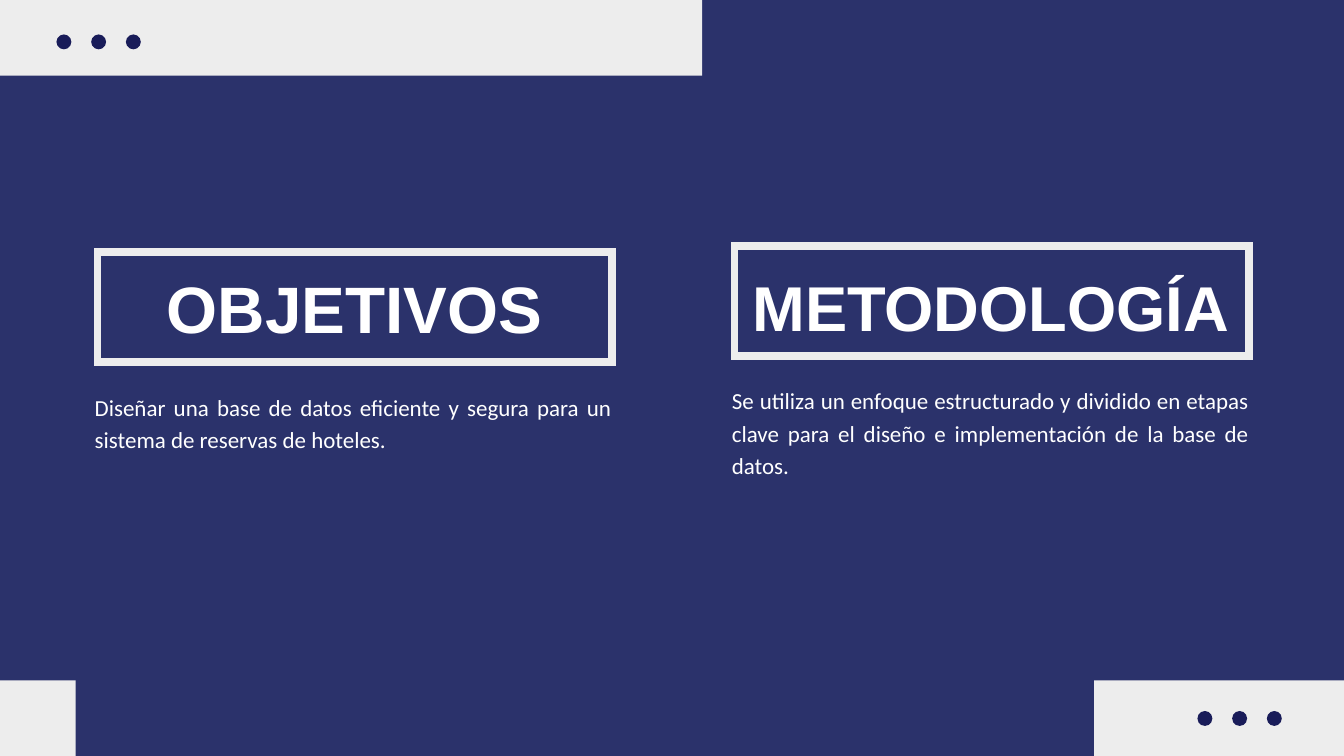
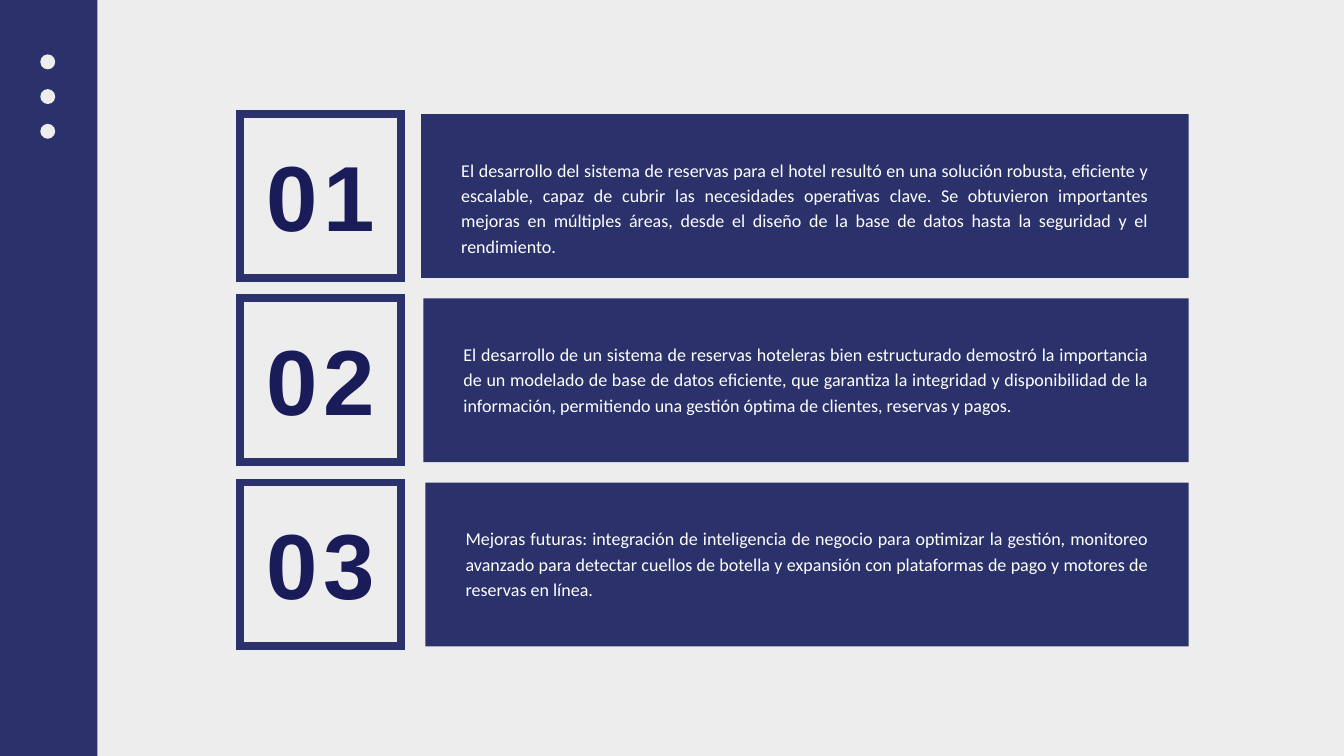
import pptx
import pptx.dml.color
import pptx.enum.shapes
import pptx.enum.text
import pptx.oxml.ns
import pptx.util
import lxml.etree

Pt = pptx.util.Pt
Align = pptx.enum.text.PP_ALIGN
Kind = pptx.enum.shapes.MSO_SHAPE
qn = pptx.oxml.ns.qn

COLORS = {"navy": "2B326B", "ink": "191C59", "light": "EDEDED", "white": "FFFFFF"}
WIDE, HIGH = 1440, 810
DOT, STEP = 16, 37.2

AIMS = [
    # left and top of frame, text, heading box, size, line pitch
    (104.4, 270, "Diseñar una base de datos eficiente y segura para un sistema de "
     "reservas de hoteles.", "OBJETIVOS", (104.4, 285, 551.5, 86), 70.3, 86.5),
    (787, 263.5, "Se utiliza un enfoque estructurado y dividido en etapas clave para "
     "el diseño e implementación de la base de datos.", "METODOLOGÍA",
     (795.6, 285, 532, 86), 67.8, 83.4),
]
RESULTS = [
    "El desarrollo del sistema de reservas para el hotel resultó en una solución "
    "robusta, eficiente y escalable, capaz de cubrir las necesidades operativas clave. "
    "Se obtuvieron importantes mejoras en múltiples áreas, desde el diseño de la base "
    "de datos hasta la seguridad y el rendimiento.",
    "El desarrollo de un sistema de reservas hoteleras bien estructurado demostró la "
    "importancia de un modelado de base de datos eficiente, que garantiza la integridad "
    "y disponibilidad de la información, permitiendo una gestión óptima de clientes, "
    "reservas y pagos.",
    "Mejoras futuras: integración de inteligencia de negocio para optimizar la gestión, "
    "monitoreo avanzado para detectar cuellos de botella y expansión con plataformas de "
    "pago y motores de reservas en línea.",
]


def color(name):
    return pptx.dml.color.RGBColor.from_string(COLORS[name])


def new_slide(deck, back):
    slide = deck.slides.add_slide(deck.slide_layouts.get_by_name("Comparison"))
    slide.background.fill.solid()
    slide.background.fill.fore_color.rgb = color(back)
    return slide


def block(slide, box, fill, kind=Kind.RECTANGLE):
    shape = slide.shapes.add_shape(kind, *map(Pt, box))
    shape.shadow.inherit = False
    shape.fill.solid()
    shape.fill.fore_color.rgb = color(fill)
    shape.line.fill.background()
    return shape


def frame(slide, box, line):
    """Draw an empty box with a thick, sharp-cornered outline."""
    shape = block(slide, box, line)
    shape.fill.background()
    shape.line.color.rgb = color(line)
    shape.line.width = Pt(8.25)
    edge = shape.element.spPr.find(qn("a:ln"))
    lxml.etree.SubElement(edge, qn("a:miter"), lim="800000")


def dots(slide, left, top, fill, down=False):
    for i in range(3):
        x, y = (left, top + i * STEP) if down else (left + i * STEP, top)
        block(slide, (x, y, DOT, DOT), fill, Kind.OVAL)


def write(shape, box, text, size, pitch, font="Calibri", bold=False,
          ink="white", align=Align.JUSTIFY):
    """Place a text shape on top of the others and fill it with one paragraph."""
    shape.left, shape.top, shape.width, shape.height = map(Pt, box)
    shape.element.getparent().append(shape.element)
    frame = shape.text_frame
    frame.text = text
    frame.word_wrap = True
    frame.auto_size = pptx.enum.text.MSO_AUTO_SIZE.NONE
    frame.vertical_anchor = pptx.enum.text.MSO_ANCHOR.TOP
    frame.margin_left = frame.margin_top = frame.margin_right = frame.margin_bottom = 0
    para = frame.paragraphs[0]
    para.alignment = align
    para.line_spacing = Pt(pitch)
    para.space_before = Pt(0)
    para.font.name, para.font.size, para.font.bold = font, Pt(size), bold
    para.font.color.rgb = color(ink)
    props = para._p.get_or_add_pPr()
    props.set("marL", "0")
    props.set("indent", "0")
    props.insert_element_before(props.makeelement(qn("a:buNone")),
                                "a:tabLst", "a:defRPr", "a:extLst")
    return para


def head(shape, box, text, size, pitch, ink="white"):
    return write(shape, box, text, size, pitch, "Arial", True, ink, Align.CENTER)


def drop_empty(slide):
    for holder in list(slide.placeholders):
        if not holder.text_frame.text:
            holder.element.getparent().remove(holder.element)


def aims(deck):
    slide = new_slide(deck, "navy")
    block(slide, (0, 0, 752.4, 81), "light")
    block(slide, (0, 729, 81, 81), "light")
    block(slide, (1172.4, 729, WIDE - 1172.4, 81), "light")
    dots(slide, 60.5, 36.9, "ink")
    dots(slide, 1283, 761.8, "ink")
    spots = {p.placeholder_format.idx: p for p in slide.placeholders}
    for (left, top, text, name, box, size, pitch), (title, body) in zip(
            AIMS, [(0, 2), (1, 4)]):
        frame(slide, (left, top, 551.5, 118), "light")
        head(spots[title], box, name, size, pitch)
        write(spots[body], (left - 2.9, top + 146.2, 553.7, 104), text, 24.6, 34.5)
    drop_empty(slide)


def results(deck):
    slide = new_slide(deck, "light")
    block(slide, (0, 0, 104.4, HIGH), "navy")
    dots(slide, 43.2, 58.3, "light", down=True)
    spots = {p.placeholder_format.idx: p for p in slide.placeholders}
    for i, text in enumerate(RESULTS):
        top, left = 122.2 + i * 197.4, 451.2 + i * 2.3
        block(slide, (left, top, 1273.6 - left, 175.5), "navy")
        write(spots[i + 1], (left + 43, top + 44.8, 1187.5 - left, 110), text, 19.3, 27)
        frame(slide, (257, top, 173, 175.5), "navy")
        box = (257, top + 23.5, 173, 121)
        label = slide.shapes.add_textbox(*map(Pt, box))
        para = head(label, box, f"{i + 1:02}", 99, 121.8, "ink")
        para.runs[0].font._element.set("spc", "540")
    drop_empty(slide)


def main():
    deck = pptx.Presentation()
    deck.slide_width, deck.slide_height = Pt(WIDE), Pt(HIGH)
    aims(deck)
    results(deck)
    deck.save("out.pptx")


if __name__ == "__main__":
    main()
